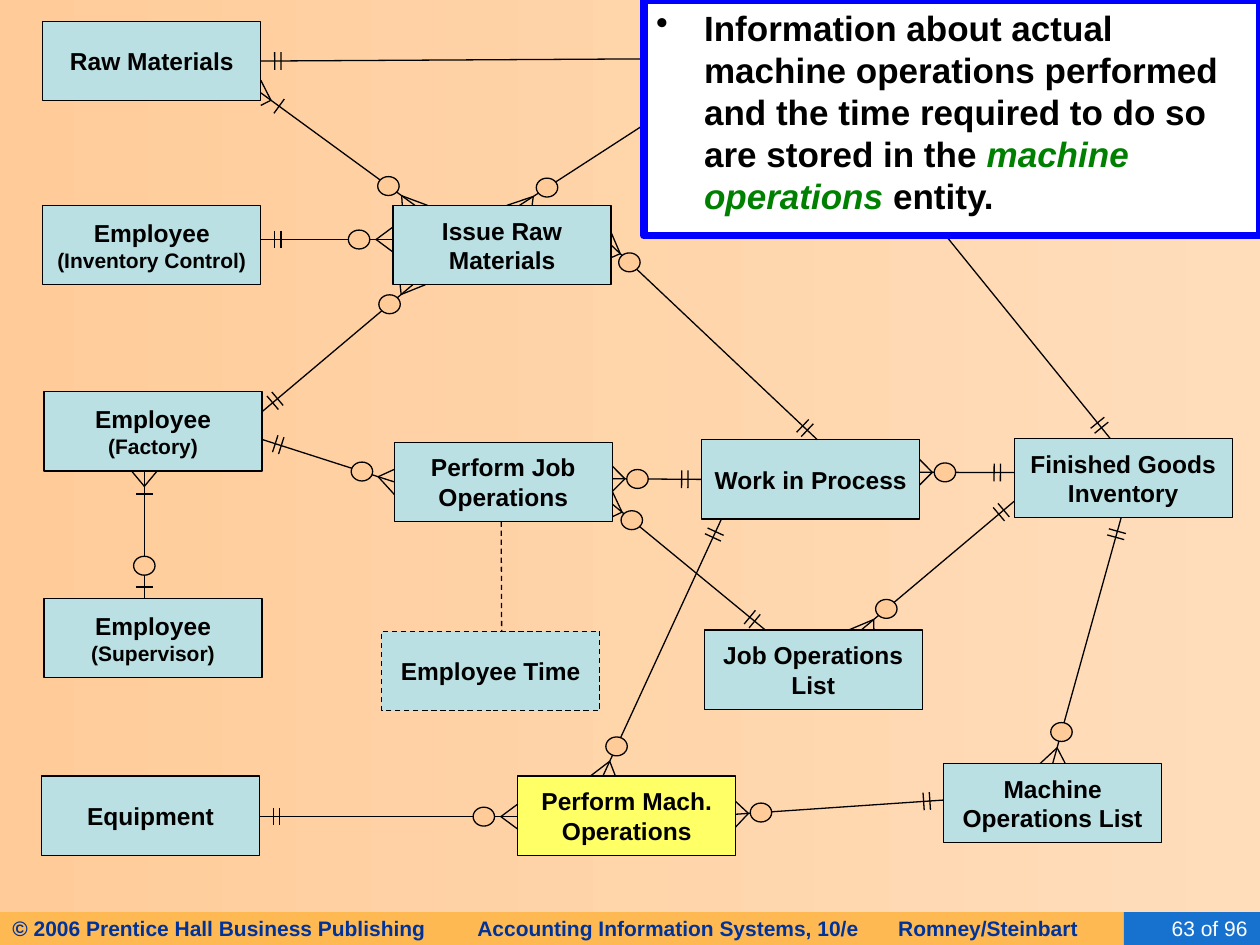
from math import hypot

from lxml import etree
from pptx import Presentation
from pptx.dml.color import RGBColor
from pptx.enum.dml import MSO_LINE
from pptx.enum.shapes import MSO_CONNECTOR, MSO_SHAPE
from pptx.enum.text import MSO_ANCHOR, PP_ALIGN
from pptx.oxml.ns import qn
from pptx.util import Inches, Pt

RECTANGLE, OVAL = MSO_SHAPE.RECTANGLE, MSO_SHAPE.OVAL
STRAIGHT, DASH = MSO_CONNECTOR.STRAIGHT, MSO_LINE.DASH
MIDDLE, TOP = MSO_ANCHOR.MIDDLE, MSO_ANCHOR.TOP
LEFT, CENTER, RIGHT = PP_ALIGN.LEFT, PP_ALIGN.CENTER, PP_ALIGN.RIGHT

BLACK, WHITE, TEAL, YELLOW, PEACH = "000000", "FFFFFF", "BBE0E3", "FFFF66", "FFCC99"
ENTITY_SIZE = (1.73, 0.63)
CIRCLE_SIZE = (0.17, 0.15)
CALLOUT = (5.11, 0, 4.89, 1.87)

ENTITIES = {
    "materials": (0.34, 0.17, "Raw Materials", ""),
    "control": (0.34, 1.63, "Employee ", "(Inventory Control)"),
    "factory": (0.35, 3.11, "Employee ", "(Factory)"),
    "supervisor": (0.35, 4.75, "Employee ", "(Supervisor)"),
    "equipment": (0.33, 6.16, "Equipment", ""),
    "issue": (3.12, 1.63, "Issue Raw Materials", ""),
    "job": (3.13, 3.51, "Perform Job Operations", ""),
    "time": (3.03, 5.01, "Employee Time", ""),
    "machine": (4.11, 6.16, "Perform Mach. Operations", ""),
    "process": (5.57, 3.49, "Work in Process", ""),
    "job list": (5.59, 5, "Job Operations List", ""),
    "goods": (8.05, 3.48, "Finished Goods Inventory", ""),
    "machine list": (7.49, 6.06, "Machine Operations List", ""),
}
BOXES = {key: entry[:2] + ENTITY_SIZE for key, entry in ENTITIES.items()}
BOXES["callout"] = CALLOUT

# Each end: box, edge, share of the edge, cardinality.
RELATIONS = [
    (("materials", "right", 0.5, "one"), ("callout", "left", 0.25, "plain")),
    (("materials", "right", 0.9, "some"), ("issue", "top", 0.1, "many")),
    (("control", "right", 0.43, "one"), ("issue", "left", 0.43, "many")),
    (("factory", "right", 0.25, "one"), ("issue", "bottom", 0.09, "many")),
    (("factory", "right", 0.6, "one"), ("job", "left", 0.5, "many")),
    (("factory", "bottom", 0.46, "some"), ("supervisor", "top", 0.46, "optional")),
    (("issue", "right", 0.5, "many"), ("process", "top", 0.53, "one")),
    (("job", "bottom", 0.49, "plain"), ("time", "top", 0.55, "plain")),
    (("job", "right", 0.46, "many"), ("process", "left", 0.5, "one")),
    (("job", "right", 0.78, "many"), ("job list", "top", 0.28, "one")),
    (("callout", "bottom", 0.49, "plain"), ("goods", "top", 0.44, "one")),
    (("process", "right", 0.41, "many"), ("goods", "left", 0.43, "one")),
    (("machine", "top", 0.39, "many"), ("process", "bottom", 0.09, "one")),
    (("job list", "top", 0.72, "many"), ("goods", "left", 0.79, "one")),
    (("goods", "bottom", 0.49, "one"), ("machine list", "top", 0.5, "many")),
    (("machine", "right", 0.48, "many"), ("machine list", "left", 0.46, "one")),
    (("equipment", "right", 0.51, "one"), ("machine", "left", 0.51, "many")),
    (("callout", "left", 0.53, "plain"), ("issue", "top", 0.58, "many")),
]
BAR_DISTANCES = {"one": (0.11, 0.16), "some": (0.18,), "optional": (0.09,)}
CIRCLE_DISTANCE = {"left": 0.27, "right": 0.2, "top": 0.26, "bottom": 0.24}


def color(value):
    """Turn a hex string into a colour."""
    return RGBColor.from_string(value)


def add_box(page, kind, box, fill, line=None, width=0.75):
    """Add a filled shape without shadow."""
    shape = page.shapes.add_shape(kind, *map(Inches, box))
    shape.shadow.inherit = False
    shape.fill.solid()
    shape.fill.fore_color.rgb = color(fill)
    if line:
        shape.line.color.rgb = color(line)
        shape.line.width = Pt(width)
    else:
        shape.line.fill.background()
    return shape


def set_text(shape, text, align, anchor=MIDDLE):
    """Put text in a shape and return its paragraph."""
    frame = shape.text_frame
    frame.word_wrap = True
    frame.vertical_anchor = anchor
    frame.text = text
    para = frame.paragraphs[0]
    para.alignment = align
    return para


def style(span, size, value, bold=True, italic=False):
    """Format a run."""
    span.font.name = "Arial"
    span.font.size = Pt(size)
    span.font.color.rgb = color(value)
    span.font.bold = bold
    span.font.italic = italic


def add_line(page, start, end, dashed=False):
    """Draw a thin black line between two points."""
    line = page.shapes.add_connector(STRAIGHT, *map(Inches, start + end))
    line.line.color.rgb = color(BLACK)
    line.line.width = Pt(0.75)
    if dashed:
        line.line.dash_style = DASH
    etree.SubElement(line._element.spPr, qn("a:effectLst"))


def edge_point(box, edge, share):
    """Return the point at a share of the way along an edge."""
    left, top, width, height = box
    if edge in ("left", "right"):
        return left + width * (edge == "right"), top + height * share
    return left + width * share, top + height * (edge == "bottom")


def draw_entity(page, box, name, role):
    """Draw an entity with its name and optional role."""
    fill = YELLOW if name == "Perform Mach. Operations" else TEAL
    shape = add_box(page, RECTANGLE, box, fill, BLACK)
    if name == "Employee Time":
        shape.line.dash_style = DASH
    para = set_text(shape, name, CENTER)
    style(para.runs[0], 14, BLACK)
    if role:
        span = para.add_run()
        span.text = role
        style(span, 12, BLACK)


def draw_marks(page, start, end, edge, cardinality):
    """Draw the cardinality marks near the start of a line."""
    (x, y), length = start, hypot(end[0] - start[0], end[1] - start[1])
    across, down = (end[0] - x) / length, (end[1] - y) / length
    reach = CIRCLE_DISTANCE[edge]
    for distance in BAR_DISTANCES.get(cardinality, ()):
        middle_x, middle_y = x + across * distance, y + down * distance
        side_x, side_y = -down * 0.07, across * 0.07
        add_line(page, (middle_x - side_x, middle_y - side_y),
                 (middle_x + side_x, middle_y + side_y))
    if cardinality in ("many", "some"):
        apex = (x + across * reach / 2, y + down * reach / 2)
        for spread in (-0.1, 0.1):
            toe = (x, y + spread) if edge in ("left", "right") else (x + spread, y)
            add_line(page, apex, toe)
    if cardinality in ("many", "optional"):
        width, height = CIRCLE_SIZE
        corner = (x + across * reach - width / 2, y + down * reach - height / 2)
        add_box(page, OVAL, corner + CIRCLE_SIZE, PEACH, BLACK)


def draw_relation(page, first, second):
    """Draw a line between two boxes with marks at both ends."""
    start, end = (edge_point(BOXES[key], edge, share)
                  for key, edge, share, _ in (first, second))
    add_line(page, start, end, dashed=second[0] == "time")
    draw_marks(page, start, end, *first[1::2])
    draw_marks(page, end, start, *second[1::2])


def draw_callout(page, box):
    """Draw the bulleted explanation."""
    shape = add_box(page, RECTANGLE, box, WHITE, "0000FF", 4.5)
    para = set_text(shape, "", LEFT, TOP)
    properties = para._p.get_or_add_pPr()
    properties.set("marL", str(Inches(0.38)))
    properties.set("indent", str(Inches(-0.38)))
    bullet_color = etree.SubElement(properties, qn("a:buClr"))
    etree.SubElement(bullet_color, qn("a:srgbClr"), val=BLACK)
    etree.SubElement(properties, qn("a:buChar"), char="•")
    for text, value, italic in (
        ("Information about actual machine operations performed and the time "
         "required to do so are stored in the ", BLACK, False),
        ("machine operations", "008000", True),
        (" entity.", BLACK, False),
    ):
        span = para.add_run()
        span.text = text
        style(span, 20, value, italic=italic)


def draw_footer(page, box):
    """Draw the credit band and the page number."""
    left, top, width, height = box
    band = add_box(page, RECTANGLE, (left, top, 9.25, height), "FFB953")
    para = set_text(band, "© 2006 Prentice Hall Business Publishing\t"
                    "Accounting Information Systems, 10/e\tRomney/Steinbart", LEFT)
    tabs = etree.SubElement(para._p.get_or_add_pPr(), qn("a:tabLst"))
    for stop in (3.69, 7.03):
        etree.SubElement(tabs, qn("a:tab"), pos=str(Inches(stop)), algn="l")
    style(para.runs[0], 12, "003399")
    number = add_box(page, RECTANGLE, (left + width - 1.08, top, 1.08, height), "1672CE")
    style(set_text(number, "63 of 96", RIGHT).runs[0], 12, WHITE, bold=False)


def main():
    """Build the slide and save it."""
    deck = Presentation()
    deck.slide_width, deck.slide_height = Inches(10), Inches(7.5)
    page = deck.slides.add_slide(deck.slide_layouts[6])
    backdrop = page.background.fill
    backdrop.gradient()
    backdrop.gradient_angle = 180
    for stop, value in zip(backdrop.gradient_stops, ("FFDDBB", PEACH)):
        stop.color.rgb = color(value)
    draw_footer(page, (0, 7.24, 10, 0.26))
    for key, (_, _, name, role) in ENTITIES.items():
        draw_entity(page, BOXES[key], name, role)
    for first, second in RELATIONS:
        draw_relation(page, first, second)
    draw_callout(page, CALLOUT)
    deck.save("out.pptx")


if __name__ == "__main__":
    main()
